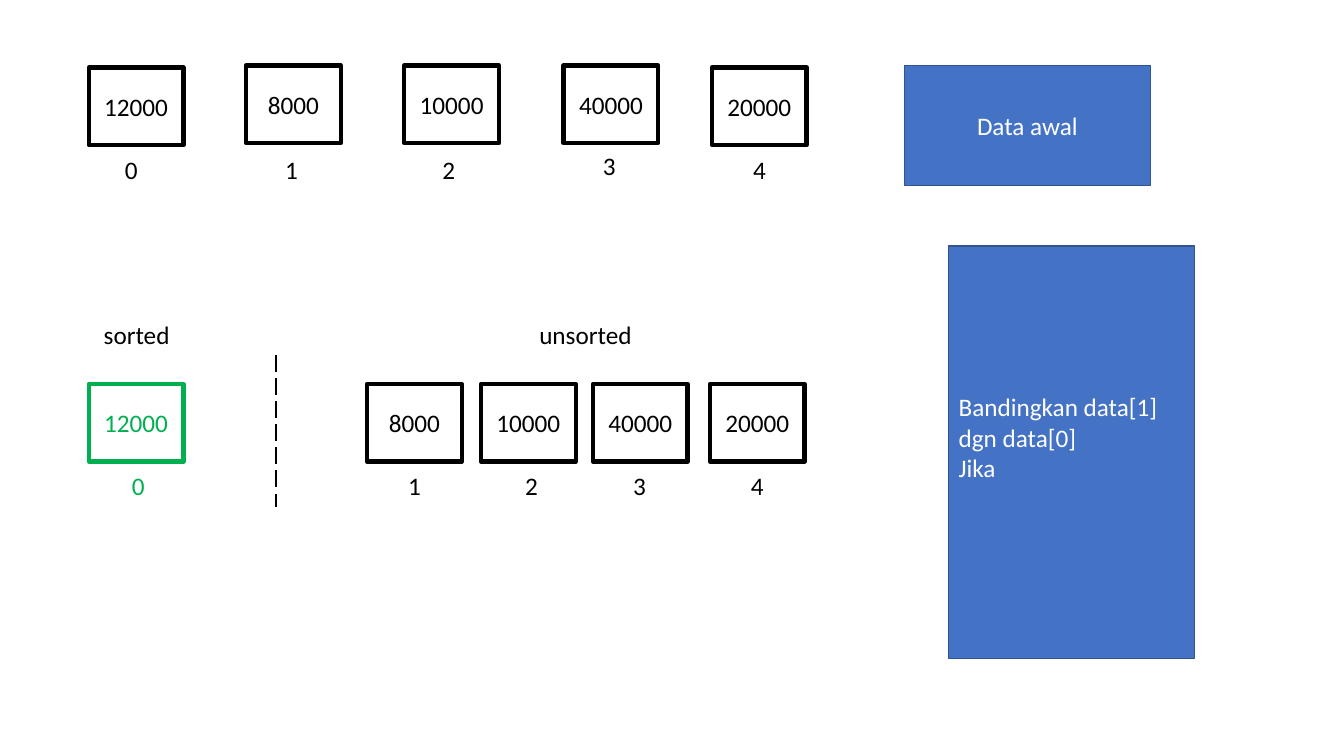
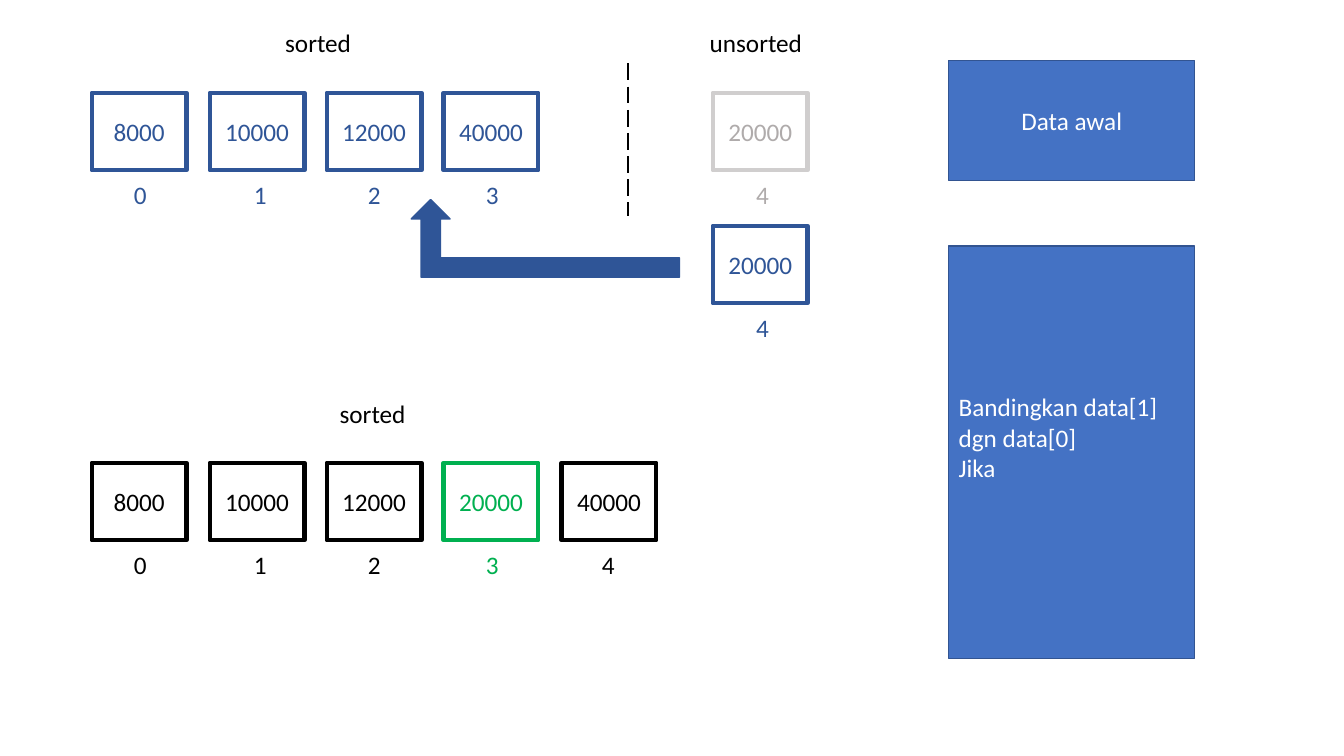
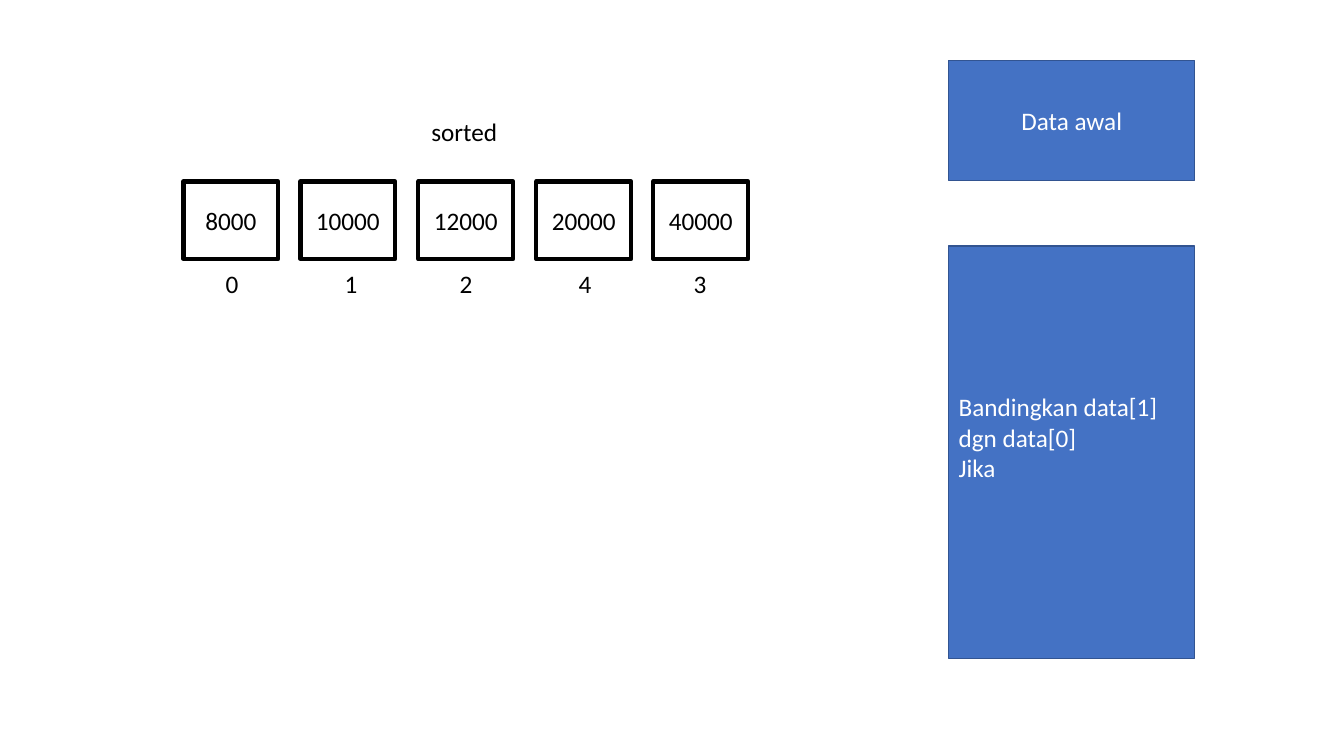
from pptx import Presentation
from pptx.dml.color import RGBColor
from pptx.enum.dml import MSO_LINE
from pptx.enum.shapes import MSO_CONNECTOR, MSO_SHAPE
from pptx.enum.text import MSO_ANCHOR, MSO_AUTO_SIZE, PP_ALIGN
from pptx.oxml.ns import qn
from pptx.oxml.xmlchemy import OxmlElement
from pptx.util import Pt

PX = 9144
BLACK, WHITE, GREEN, NAVY = "000000", "FFFFFF", "00B050", "2F5597"
PANEL, PANEL_EDGE = "4472C4", "325491"
GRAY, GRAY_EDGE = "AFABAB", "D0CECE"


def px(*lengths):
    return [n * PX for n in lengths]


def rgb(color):
    return RGBColor.from_string(color)


class Deck:
    font, size = "Calibri", 18
    cell_w, cell_h, pitch = 94, 77, 116.5
    label_shifts = 32, 34, 31, 32, 30

    def __init__(self):
        self.prs = Presentation()
        self.prs.slide_width, self.prs.slide_height = px(1333, 750)

    def slide(self):
        self.s = self.prs.slides.add_slide(self.prs.slide_layouts[6])

    def put_text(self, tf, text, color, align):
        tf.word_wrap = True
        tf.text = text
        for p in tf.paragraphs:
            p.alignment = align
            for r in p.runs:
                r.font.name, r.font.size = self.font, Pt(self.size)
                r.font.color.rgb = rgb(color)

    def shape(self, kind, x, y, w, h, fill, line, width):
        sp = self.s.shapes.add_shape(kind, *px(x, y, w, h))
        sp.shadow.inherit = False
        sp.fill.solid()
        sp.fill.fore_color.rgb = rgb(fill)
        sp.line.color.rgb = rgb(line)
        sp.line.width = Pt(width)
        return sp

    def box(self, x, y, w, h, text, fill, line, width, color, align=PP_ALIGN.CENTER):
        sp = self.shape(MSO_SHAPE.RECTANGLE, x, y, w, h, fill, line, width)
        tf = sp.text_frame
        tf.vertical_anchor = MSO_ANCHOR.MIDDLE
        self.put_text(tf, text, color, align)
        return tf

    def label(self, x, y, w, text, color=BLACK):
        tf = self.s.shapes.add_textbox(*px(x, y, w, 40)).text_frame
        self.put_text(tf, text, color, PP_ALIGN.LEFT)
        tf.auto_size = MSO_AUTO_SIZE.SHAPE_TO_FIT_TEXT

    def sorted_label(self, x, y):
        self.label(x, y, 94, "sorted")

    def unsorted_label(self, x, y):
        self.label(x, y, 131, "unsorted")

    def cell(self, x, y, value, index, shift, color=BLACK, line=None, drop=81):
        self.box(x, y, self.cell_w, self.cell_h, str(value), WHITE, line or color, 3, color)
        self.label(x + shift, y + drop, 42, str(index), color)

    def row(self, left, y, values, indexes, colors):
        for i, (value, index, color) in enumerate(zip(values, indexes, colors)):
            self.cell(round(left + i * self.pitch), y, value, index, self.label_shifts[i], color)

    def divider(self, x, y):
        c = self.s.shapes.add_connector(MSO_CONNECTOR.STRAIGHT, *px(x, y, x, y + 151))
        c.line.color.rgb = rgb(BLACK)
        c.line.width = Pt(1.5)
        c.line.dash_style = MSO_LINE.LONG_DASH
        c._element.spPr.append(OxmlElement("a:effectLst"))

    def insert_arrow(self, x, y, w, h):
        sp = self.shape(MSO_SHAPE.BENT_UP_ARROW, x, y, w, h, NAVY, NAVY, 1)
        sp._element.spPr.find(qn("a:xfrm")).set("flipH", "1")

    def panels(self, x=941, y=60):
        self.box(x, y, 244, 119, "Data awal", PANEL, PANEL_EDGE, 1, WHITE)
        tf = self.box(941, 244, 244, 409, "Bandingkan data[1] dgn data[0]\nJika",
                      PANEL, PANEL_EDGE, 1, WHITE, PP_ALIGN.LEFT)
        tf.margin_bottom = 35 * PX


def first_step(d):
    d.slide()
    d.panels(897, 65)
    start = [(88, 67, 12000, 26, 81), (244, 65, 8000, 29, 83), (401, 65, 10000, 28, 83),
             (559, 65, 40000, 29, 79), (706, 67, 20000, 31, 81)]
    for i, (x, y, value, shift, drop) in enumerate(start):
        d.cell(x, y, value, i, shift, drop=drop)
    d.sorted_label(93, 312)
    d.unsorted_label(525, 312)
    d.divider(274, 352)
    split = [(88, 12000, 33, GREEN), (364, 8000, 31, BLACK), (477, 10000, 34, BLACK),
             (588, 40000, 30, BLACK), (704, 20000, 31, BLACK)]
    for i, (x, value, shift, color) in enumerate(split):
        d.cell(x, 381, value, i, shift, color)


def last_insertion(d):
    d.slide()
    d.panels()
    d.sorted_label(273, 22)
    d.unsorted_label(694, 22)
    d.divider(623, 63)
    d.row(91, 92, (8000, 10000, 12000, 40000), range(4), [NAVY] * 4)
    d.cell(707, 92, 20000, 4, 33, GRAY, GRAY_EDGE)
    d.cell(707, 224, 20000, 4, 33, NAVY)
    d.insert_arrow(408, 198, 266, 77)
    d.sorted_label(327, 390)
    d.row(91, 459, (8000, 10000, 12000, 20000, 40000), range(5),
          (BLACK, BLACK, BLACK, GREEN, BLACK))


def result(d):
    d.slide()
    d.panels()
    d.sorted_label(418, 111)
    d.row(182, 180, (8000, 10000, 12000, 20000, 40000), (0, 1, 2, 4, 3), [BLACK] * 5)


def main():
    d = Deck()
    for build in (first_step, last_insertion, result):
        build(d)
    d.prs.save("out.pptx")


if __name__ == "__main__":
    main()
